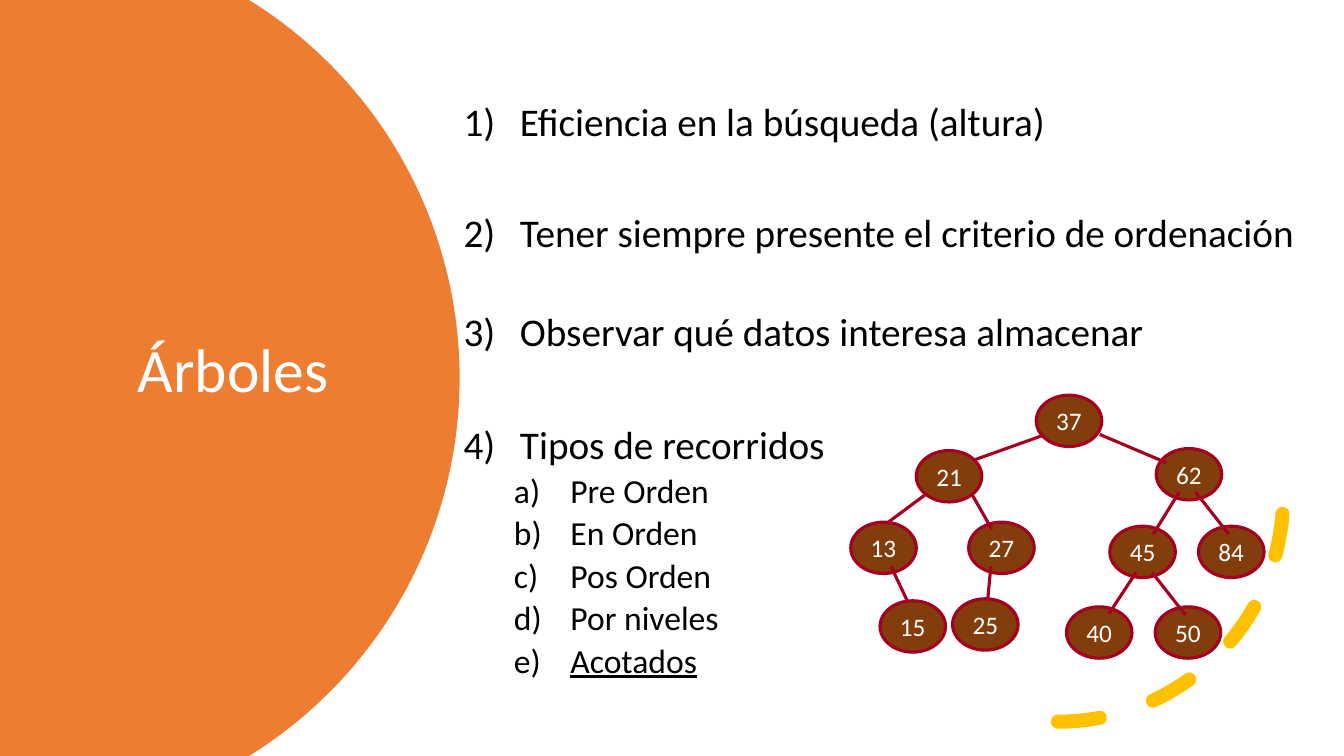
import math

from lxml import etree
from pptx import Presentation
from pptx.dml.color import RGBColor
from pptx.enum.dml import MSO_LINE
from pptx.enum.shapes import MSO_CONNECTOR, MSO_SHAPE
from pptx.enum.text import MSO_ANCHOR, PP_ALIGN
from pptx.oxml.ns import qn
from pptx.util import Inches, Pt

CENTER, LEFT = PP_ALIGN.CENTER, PP_ALIGN.LEFT
TOP, MIDDLE = MSO_ANCHOR.TOP, MSO_ANCHOR.MIDDLE
ELLIPSE, ARC = MSO_SHAPE.OVAL, MSO_SHAPE.ARC
STRAIGHT, DASH = MSO_CONNECTOR.STRAIGHT, MSO_LINE.DASH

COLORS = {
    "panel": "ED7D31",
    "title": "FFFFFF",
    "body": "000000",
    "node": "833C0B",
    "branch": "A50021",
    "arc": "FFC000",
}
COLUMNS, ROWS = 160, 90
NODE_WIDTH, NODE_HEIGHT = 7.8, 6.12

# Text, level, space before in points, underline
OUTLINE = [
    ("Eficiencia en la búsqueda (altura)", 0, 0, False),
    ("Tener siempre presente el criterio de ordenación", 0, 49.3, False),
    ("Observar qué datos interesa almacenar", 0, 40.7, False),
    ("Tipos de recorridos", 0, 50, False),
    ("Pre Orden", 1, 4.5, False),
    ("En Orden", 1, 4.5, False),
    ("Pos Orden", 1, 4.5, False),
    ("Por niveles", 1, 4.5, False),
    ("Acotados", 1, 4.5, True),
]
# Per level: font size, left margin in inches, numbering
LEVELS = [(28, 0.56, "arabicParenR"), (24, 1.06, "alphaLcParenR")]
HANGING = 0.56

# Centre of each tree node, in columns and rows
NODES = {
    37: (127.26, 50.1),
    62: (141.54, 56.46),
    21: (112.98, 56.7),
    13: (105.18, 65.22),
    27: (119.22, 65.22),
    45: (136.02, 65.7),
    84: (146.58, 65.7),
    15: (108.66, 74.58),
    40: (130.86, 75.3),
    50: (141.42, 75.3),
    25: (117.3, 74.34),
}
BRANCH_BEHIND = (125.16, 51.48, 115.08, 55.08)
BRANCHES_IN_FRONT = [
    (130.92, 51.72, 138.84, 55.08),
    (110.28, 58.8, 105.6, 62.28),
    (115.68, 58.8, 118.08, 63),
    (140.4, 58.56, 137.28, 63.6),
    (142.32, 58.56, 146.28, 63.6),
    (106.08, 67.44, 108.12, 71.76),
    (117.96, 67.44, 117.6, 71.28),
    (135.24, 68.16, 132, 73.08),
    (137.16, 68.16, 141.12, 73.2),
]


class TreeSlide:
    """Draws on one slide, with lengths in columns and rows of its grid."""

    font = "Calibri"

    def __init__(self, presentation):
        self.slide = presentation.slides.add_slide(presentation.slide_layouts[6])
        self.shapes = self.slide.shapes
        self.column = presentation.slide_width / COLUMNS
        self.row = presentation.slide_height / ROWS

    def place(self, *lengths):
        """Turn alternating columns and rows into slide lengths."""
        cells = (self.column, self.row)
        return [round(length * cells[i % 2]) for i, length in enumerate(lengths)]

    def paint(self, shape, fill=None, line=None, width=0):
        shape.shadow.inherit = False
        for part, color in ((shape.fill, fill), (shape.line.fill, line)):
            if color:
                part.solid()
                part.fore_color.rgb = RGBColor.from_string(COLORS[color])
            else:
                part.background()
        if line:
            shape.line.width = Pt(width)

    def add_text(self, paragraph, text, size, color, underline=False, **layout):
        run = paragraph.add_run()
        run.text = text
        run.font.color.rgb = RGBColor.from_string(COLORS[color])
        font = {"name": self.font, "size": Pt(size), "underline": underline or None}
        for target, values in ((run.font, font), (paragraph, layout)):
            for name, value in values.items():
                setattr(target, name, value)

    def text_frame(self, box, anchor):
        frame = self.shapes.add_textbox(*self.place(*box)).text_frame
        frame.word_wrap = True
        frame.vertical_anchor = anchor
        return frame

    def round_panel(self, center_x, center_y, radius):
        """Left panel whose right side is a circle cut by the slide edges."""
        limit = math.asin(center_y / radius)
        steps = 120
        angles = [limit * (2 * i / steps - 1) for i in range(steps + 1)]
        edge = [self.place(center_x + radius * math.cos(angle),
                           center_y + radius * math.sin(angle)) for angle in angles]
        outline = self.shapes.build_freeform(0, 0)
        outline.add_line_segments([*edge, self.place(0, ROWS)], close=True)
        self.paint(outline.convert_to_shape(), "panel")

    def title(self, text, box):
        frame = self.text_frame(box, MIDDLE)
        self.add_text(frame.paragraphs[0], text, 44, "title",
                      alignment=CENTER, line_spacing=0.9)

    def dashed_arc(self, box):
        arc = self.shapes.add_shape(ARC, *self.place(*box))
        self.paint(arc, line="arc", width=10)
        arc.line.dash_style = DASH
        properties = arc.element.spPr
        properties.find(qn("a:ln")).set("cap", "rnd")
        properties.find(qn("a:xfrm")).set("flipV", "1")

    def outline(self, items, box):
        frame = self.text_frame(box, TOP)
        for index, (text, level, space, underline) in enumerate(items):
            paragraph = frame.add_paragraph() if index else frame.paragraphs[0]
            size, margin, numbering = LEVELS[level]
            self.add_text(paragraph, text, size, "body", underline, level=level,
                          alignment=LEFT, line_spacing=0.9, space_before=Pt(space))
            self.number(paragraph, margin, numbering)

    def number(self, paragraph, margin, numbering):
        properties = paragraph._p.get_or_add_pPr()
        properties.set("marL", str(Inches(margin)))
        properties.set("indent", str(-Inches(HANGING)))
        bullet_color = etree.SubElement(properties, qn("a:buClr"))
        etree.SubElement(bullet_color, qn("a:srgbClr"), val=COLORS["body"])
        etree.SubElement(properties, qn("a:buFont"), typeface=self.font)
        etree.SubElement(properties, qn("a:buAutoNum"), type=numbering)

    def branch(self, tree, ends):
        branch = tree.shapes.add_connector(STRAIGHT, *self.place(*ends))
        branch.line.color.rgb = RGBColor.from_string(COLORS["branch"])
        branch.line.width = Pt(2.25)
        etree.SubElement(branch._element.spPr, qn("a:effectLst"))

    def node(self, tree, value, center_x, center_y):
        box = (center_x - NODE_WIDTH / 2, center_y - NODE_HEIGHT / 2,
               NODE_WIDTH, NODE_HEIGHT)
        node = tree.shapes.add_shape(ELLIPSE, *self.place(*box))
        self.paint(node, "node", "branch", 2.25)
        node.text_frame.vertical_anchor = MIDDLE
        self.add_text(node.text_frame.paragraphs[0], str(value), 18, "title",
                      alignment=CENTER)

    def binary_tree(self):
        tree = self.shapes.add_group_shape()
        self.branch(tree, BRANCH_BEHIND)
        for value, center in NODES.items():
            self.node(tree, value, *center)
        for ends in BRANCHES_IN_FRONT:
            self.branch(tree, ends)


def main():
    presentation = Presentation()
    presentation.slide_width = Inches(13.33)
    presentation.slide_height = Inches(7.5)
    slide = TreeSlide(presentation)
    slide.round_panel(1.8, 45, 52.92)
    slide.title("Árboles", (4.56, 15.12, 46.44, 58.56))
    slide.dashed_arc((99.12, 32.28, 53.64, 53.64))
    slide.outline(OUTLINE, (54, 11.6, 106, 71))
    slide.binary_tree()
    presentation.save("out.pptx")


if __name__ == "__main__":
    main()
